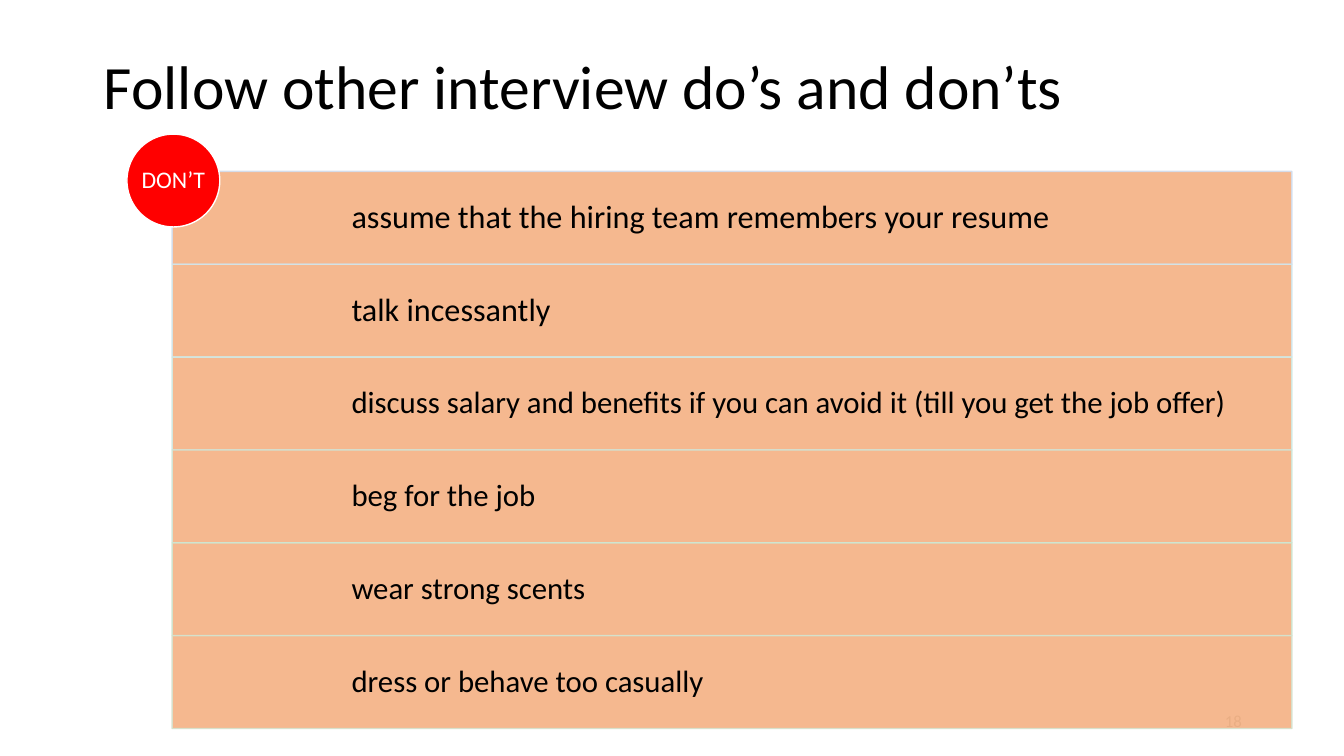
from pptx import Presentation
from pptx.dml.color import RGBColor
from pptx.enum import shapes, text
from pptx.oxml import parse_xml
from pptx.oxml.ns import nsdecls
from pptx.util import Cm, Pt

HEADING = "Follow other interview do’s and don’ts"
BADGE = "DON’T"
PAGE_NUMBER = "18"
ADVICE = [
    ("assume that the hiring team remembers your resume", 23, "D2DEEF"),
    ("talk incessantly", 23, "D1E7ED"),
    ("discuss salary and benefits if you can avoid it (till you get the job offer)", 22, "D0EBE6"),
    ("beg for the job", 22, "D0E8DB"),
    ("wear strong scents", 22, "CFE6D1"),
    ("dress or behave too casually", 22, "D5E3CF"),
]
COLORS = {"text": "000000", "row": "F4B183", "badge": "FF0000",
          "white": "FFFFFF", "number": "8C8C8C"}
ROW_LEFT, ROW_TOP, ROW_WIDTH, ROW_HEIGHT = 4.34, 4.32, 28.22, 2.34
OPACITY = 90


def write(holder, words, size, color, align, anchor, insets, line_spacing=0.9):
    frame = holder.text_frame
    frame.word_wrap = True
    frame.auto_size = text.MSO_AUTO_SIZE.NONE
    frame.vertical_anchor = anchor
    (frame.margin_left, frame.margin_top,
     frame.margin_right, frame.margin_bottom) = map(Cm, insets)
    frame.text = words
    paragraph = frame.paragraphs[0]
    paragraph.alignment = align
    paragraph.line_spacing = line_spacing
    paragraph.space_before = Pt(0)
    paragraph.font.name = "Calibri"
    paragraph.font.size = Pt(size)
    paragraph.font.color.rgb = RGBColor.from_string(color)


def add_block(kind, box, fill, outline):
    block = slide.shapes.add_shape(kind, *map(Cm, box))
    block.shadow.inherit = False
    block.fill.solid()
    block.fill.fore_color.rgb = RGBColor.from_string(fill)
    block.line.color.rgb = RGBColor.from_string(outline)
    block.line.width = Pt(1)
    return block


def make_translucent(block):
    for color in block.element.spPr.xpath(".//a:srgbClr"):
        color.append(parse_xml(f'<a:alpha {nsdecls("a")} val="{OPACITY * 1000}"/>'))


deck = Presentation()
deck.slide_width, deck.slide_height = Cm(33.87), Cm(19.05)
slide = deck.slides.add_slide(deck.slide_layouts[5])
left, center, right = text.PP_ALIGN.LEFT, text.PP_ALIGN.CENTER, text.PP_ALIGN.RIGHT
middle, bottom = text.MSO_ANCHOR.MIDDLE, text.MSO_ANCHOR.BOTTOM

page_number = slide.shapes.add_textbox(Cm(23.93), Cm(17.65), Cm(7.62), Cm(1.02))
write(page_number, PAGE_NUMBER, 12, COLORS["number"], right, middle,
      (0.25, 0.13, 0.25, 0.13), 1.0)

heading = slide.shapes.title
heading.left, heading.top, heading.width, heading.height = map(Cm, (2.34, 0.61, 29.21, 2.77))
write(heading, HEADING, 44, COLORS["text"], left, bottom, (0.28,) * 4)

for index, (advice, size, outline) in enumerate(ADVICE):
    row = add_block(shapes.MSO_SHAPE.RECTANGLE,
                    (ROW_LEFT, ROW_TOP + index * ROW_HEIGHT, ROW_WIDTH, ROW_HEIGHT),
                    COLORS["row"], outline)
    make_translucent(row)
    write(row, advice, size, COLORS["text"], left, middle, (4.52, 0.45, 0.45, 0.45))

badge = add_block(shapes.MSO_SHAPE.OVAL, (3.2, 3.38, ROW_HEIGHT, ROW_HEIGHT),
                  COLORS["badge"], COLORS["white"])
write(badge, BADGE, 17, COLORS["white"], center, middle, (0,) * 4)

deck.save("out.pptx")
